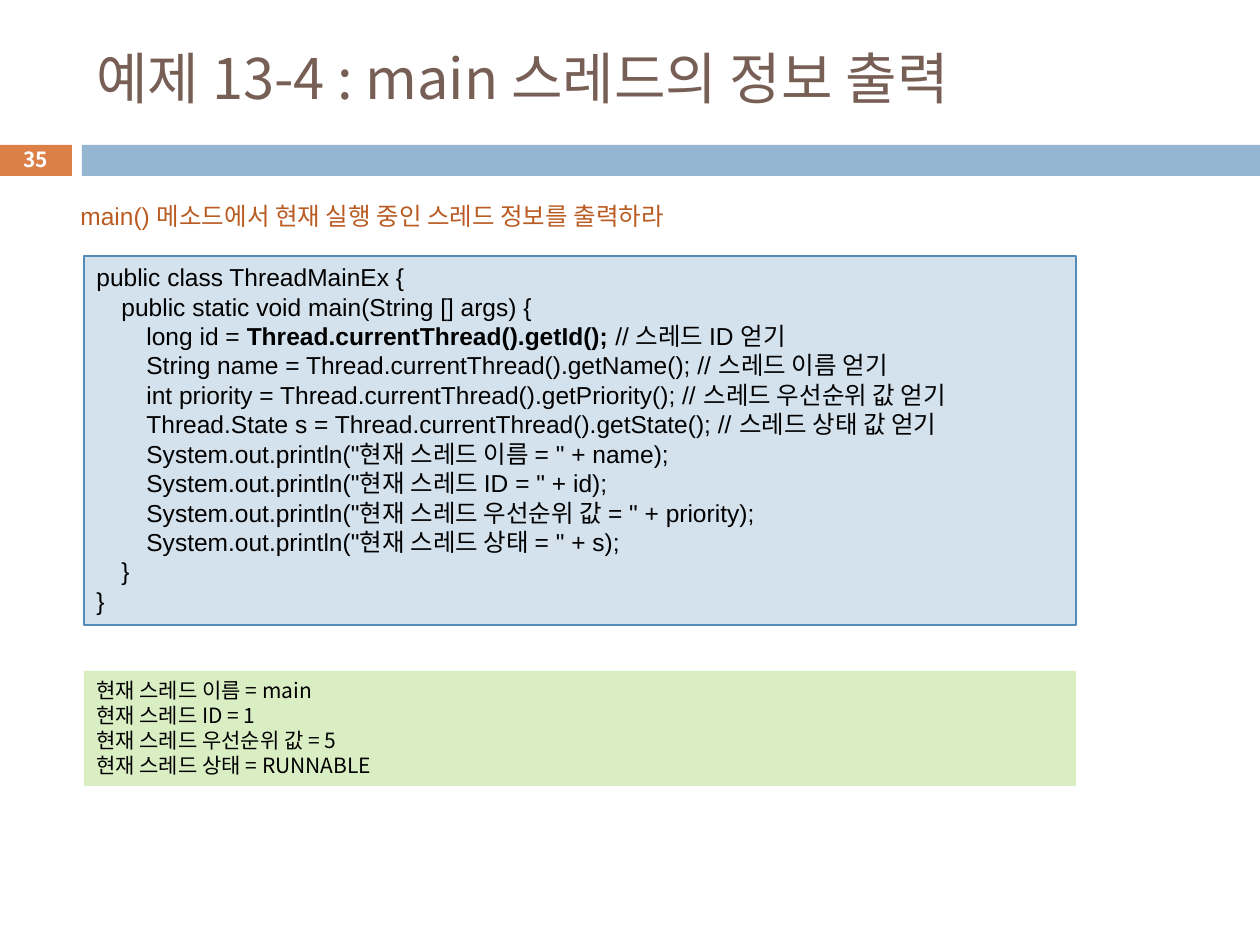
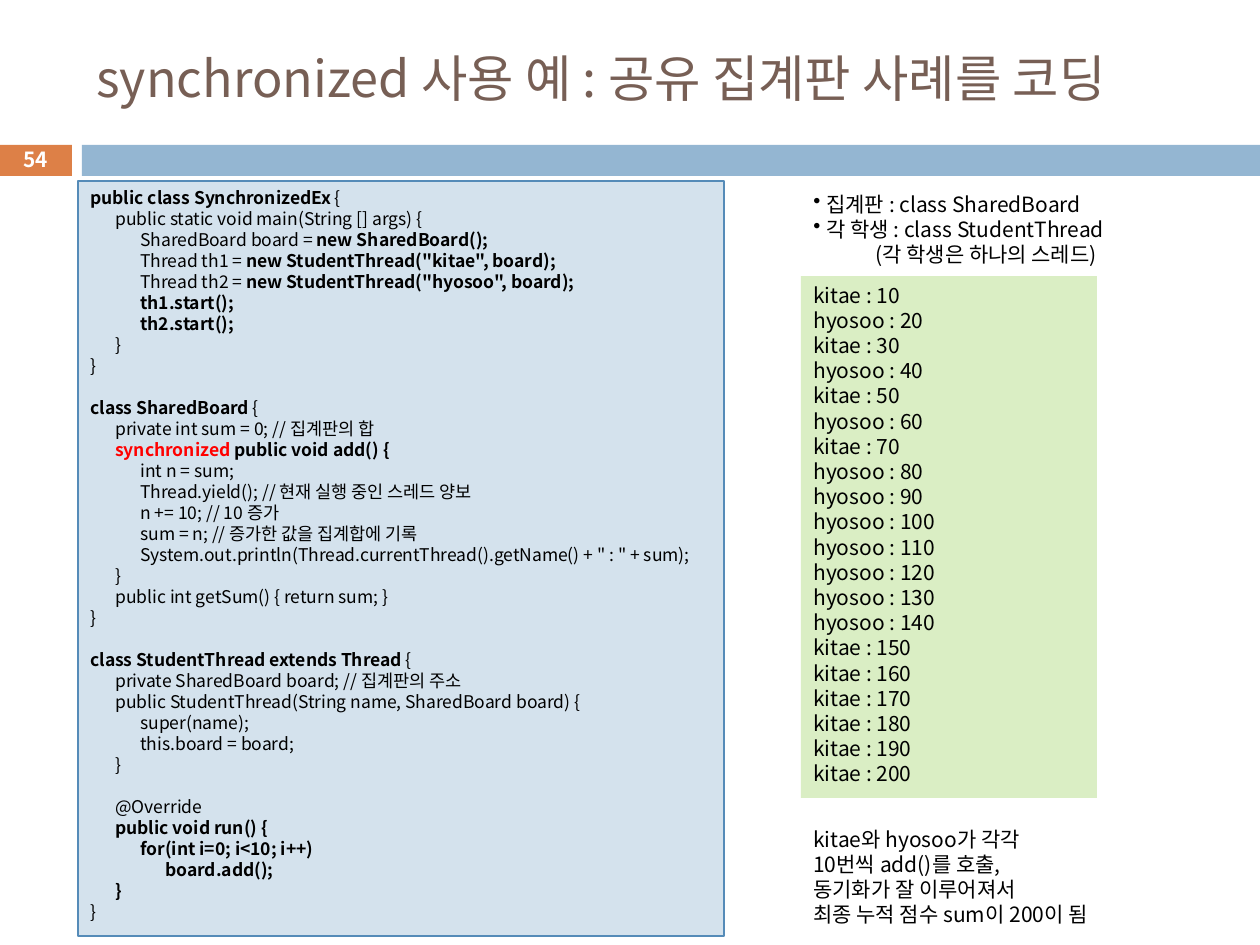
from lxml import etree
from pptx import Presentation, util as u
from pptx.dml.color import RGBColor
from pptx.enum import shapes, text
from pptx.oxml.ns import qn

PX = 914400 / 126
KOREAN = "Noto Sans CJK KR"
BLACK, WHITE, RED = "000000", "FFFFFF", "FF0000"
BROWN, ORANGE, RUST, BLUE = "775F55", "DD8047", "B95B22", "94B6D2"
CODE_FILL, CODE_LINE, OUTPUT_FILL = "D4E2ED", "558BB8", "DAEEC4"
LINE_FACTOR = 1.2
TAB = 25

MAIN_CODE = """public class ThreadMainEx {
\tpublic static void main(String [] args) {
\t\tlong id = *Thread.currentThread().getId();* // 스레드 ID 얻기
\t\tString name = Thread.currentThread().getName(); // 스레드 이름 얻기
\t\tint priority = Thread.currentThread().getPriority(); // 스레드 우선순위 값 얻기
\t\tThread.State s = Thread.currentThread().getState(); // 스레드 상태 값 얻기
\t\tSystem.out.println("현재 스레드 이름 = " + name);
\t\tSystem.out.println("현재 스레드 ID = " + id);
\t\tSystem.out.println("현재 스레드 우선순위 값 = " + priority);
\t\tSystem.out.println("현재 스레드 상태 = " + s);
\t}
}"""

MAIN_OUTPUT = """현재 스레드 이름 = main
현재 스레드 ID = 1
현재 스레드 우선순위 값 = 5
현재 스레드 상태 = RUNNABLE"""

SYNCHRONIZED_EX = """*public class SynchronizedEx *{
\tpublic static void main(String [] args) {
\t\tSharedBoard board = *new SharedBoard();
\t\tThread th1 = *new StudentThread("kitae", board);
\t\tThread th2 = *new StudentThread("hyosoo", board);
\t\t*th1.start();
\t\t*th2.start();
\t}
}"""

SHARED_BOARD = """*class SharedBoard* {
\tprivate int sum = 0; // 집계판의 합
\t*~synchronized ~public void add() {
\t\tint n = sum;
\t\tThread.yield(); // 현재 실행 중인 스레드 양보
\t\tn += 10; // 10 증가
\t\tsum = n; // 증가한 값을 집계합에 기록
\t\tSystem.out.println(Thread.currentThread().getName() + " : " + sum);
\t}
\tpublic int getSum() { return sum; }
}"""

STUDENT_THREAD = """*class StudentThread extends Thread *{
\tprivate SharedBoard board; // 집계판의 주소
\tpublic StudentThread(String name, SharedBoard board) {
\t\tsuper(name);
\t\tthis.board = board;
\t}

\t@Override
\t*public void run() {
\t\t*for(int i=0; i<10; i++)
\t\t\t*board.add();
\t*}
}"""

CALLERS = ["kitae", "hyosoo"] * 3 + ["kitae"] + ["hyosoo"] * 7 + ["kitae"] * 6

BOARD_RESULT = """kitae와 hyosoo가 각각
10번씩 add()를 호출,
동기화가 잘 이루어져서
최종 누적 점수 sum이 200이 됨"""

BOARD_ROLES = """집계판 : class SharedBoard
각 학생 : class StudentThread
(각 학생은 하나의 스레드)"""


def px(length):
    """Turn px into EMU."""
    return u.Emu(round(length * PX))


def color(value):
    """Turn a hex string into a colour."""
    return RGBColor.from_string(value)


def apply(target, values):
    """Set attributes from a dict of format values."""
    for name, value in values.items():
        setattr(target, name, value)


def add_span(para, words, size, font, ink, bold):
    """Add one run of text with its format."""
    span = para.add_run()
    span.text = words
    apply(span.font, {"size": u.Pt(size), "name": font, "bold": bold})
    span.font.color.rgb = color(ink)
    etree.SubElement(span.font._element, qn("a:ea"), typeface=KOREAN)


def add_line(para, line, size, font, ink, bold):
    """Write a line, where * toggles bold and ~ toggles red."""
    for part, stretch in enumerate(line.split("*")):
        for piece, words in enumerate(stretch.split("~")):
            if words:
                add_span(para, words, size, font, RED if piece % 2 else ink, bold or part % 2 == 1)


def set_tabs(para):
    """Give a paragraph evenly spaced tab stops."""
    stops = etree.SubElement(para._p.get_or_add_pPr(), qn("a:tabLst"))
    for level in range(1, 4):
        etree.SubElement(stops, qn("a:tab"), pos=str(px(TAB * level)), algn="l")


def write(box, content, size, font=KOREAN, ink=BLACK, bold=False, spaced=True,
          anchor=text.MSO_ANCHOR.TOP, align=text.PP_ALIGN.LEFT):
    """Fill a box with lines; an empty line becomes space before the next one."""
    frame = box.text_frame
    apply(frame, {"word_wrap": True, "vertical_anchor": anchor})
    para, gap = frame.paragraphs[0], 0
    pitch = u.Pt(size * LINE_FACTOR)
    for line in content.split("\n"):
        if not line:
            gap = pitch
            continue
        if para.runs:
            para = frame.add_paragraph()
        para.alignment = align
        if spaced:
            para.line_spacing = pitch
        if gap:
            para.space_before, gap = gap, 0
        if "\t" in line:
            set_tabs(para)
        add_line(para, line, size, font, ink, bold)


def add_text(page, at, content, size, **values):
    """Add a text box."""
    box = page.shapes.add_textbox(*map(px, at))
    write(box, content, size, **values)
    return box


def add_panel(page, at, fill, line=None):
    """Add a flat rectangle."""
    panel = page.shapes.add_shape(shapes.MSO_SHAPE.RECTANGLE, *map(px, at))
    panel.shadow.inherit = False
    panel.fill.solid()
    panel.fill.fore_color.rgb = color(fill)
    if line:
        panel.line.color.rgb = color(line)
        panel.line.width = u.Pt(0.75)
    else:
        panel.line.fill.background()
    return panel


def add_code(page, at, content, size, font=KOREAN):
    """Add a framed listing."""
    write(add_panel(page, at, CODE_FILL, CODE_LINE), content, size, font=font)


def add_output(page, at, content):
    """Add a panel with program output."""
    write(add_panel(page, at, OUTPUT_FILL), content, 12)


def indent(para, margin, first):
    """Set the left margin and first line indent of a paragraph."""
    props = para._p.get_or_add_pPr()
    props.set("marL", str(px(margin)))
    props.set("indent", str(px(first)))
    return props


def add_roles(page, at, content):
    """Add the bulleted roles with an indented remark below."""
    box = add_text(page, at, content, 12)
    *roles, remark = box.text_frame.paragraphs
    for para in roles:
        etree.SubElement(indent(para, 13, -13), qn("a:buChar"), char="•")
    indent(remark, 62, 0)


def add_page(deck, title, size, number):
    """Add a slide with bands, title and number."""
    page = deck.slides.add_slide(deck.slide_layouts[6])
    add_panel(page, (-1, 145, 73, 31), ORANGE)
    add_panel(page, (82, 145, 1178, 31), BLUE)
    middle = {"spaced": False, "anchor": text.MSO_ANCHOR.MIDDLE}
    add_text(page, (84, 31, 1124, 93), title, size, ink=BROWN, **middle)
    add_text(page, (-1, 142, 73, 34), str(number), 11.9, ink=WHITE, bold=True,
             align=text.PP_ALIGN.CENTER, **middle)
    return page


def main():
    """Build the deck."""
    deck = Presentation()
    apply(deck, {"slide_width": px(1260), "slide_height": px(945)})

    page = add_page(deck, "예제 13-4 : main 스레드의 정보 출력", 32, 35)
    add_text(page, (68, 195, 912, 43), "main() 메소드에서 현재 실행 중인 스레드 정보를 출력하라",
             14, font="Arial", ink=RUST)
    add_code(page, (84, 256, 992, 369), MAIN_CODE, 14, "Arial")
    add_output(page, (84, 671, 992, 115), MAIN_OUTPUT)

    page = add_page(deck, "synchronized 사용 예 : 공유 집계판 사례를 코딩", 28.8, 54)
    classes = (SYNCHRONIZED_EX, SHARED_BOARD, STUDENT_THREAD)
    add_code(page, (78, 181, 646, 755), "\n\n".join(classes), 10)
    add_text(page, (801, 820, 336, 115), BOARD_RESULT, 12)
    totals = [f"{name} : {10 * turn}" for turn, name in enumerate(CALLERS, 1)]
    add_output(page, (801, 276, 296, 522), "\n".join(totals))
    add_roles(page, (801, 185, 370, 89), BOARD_ROLES)

    deck.save("out.pptx")


if __name__ == "__main__":
    main()
